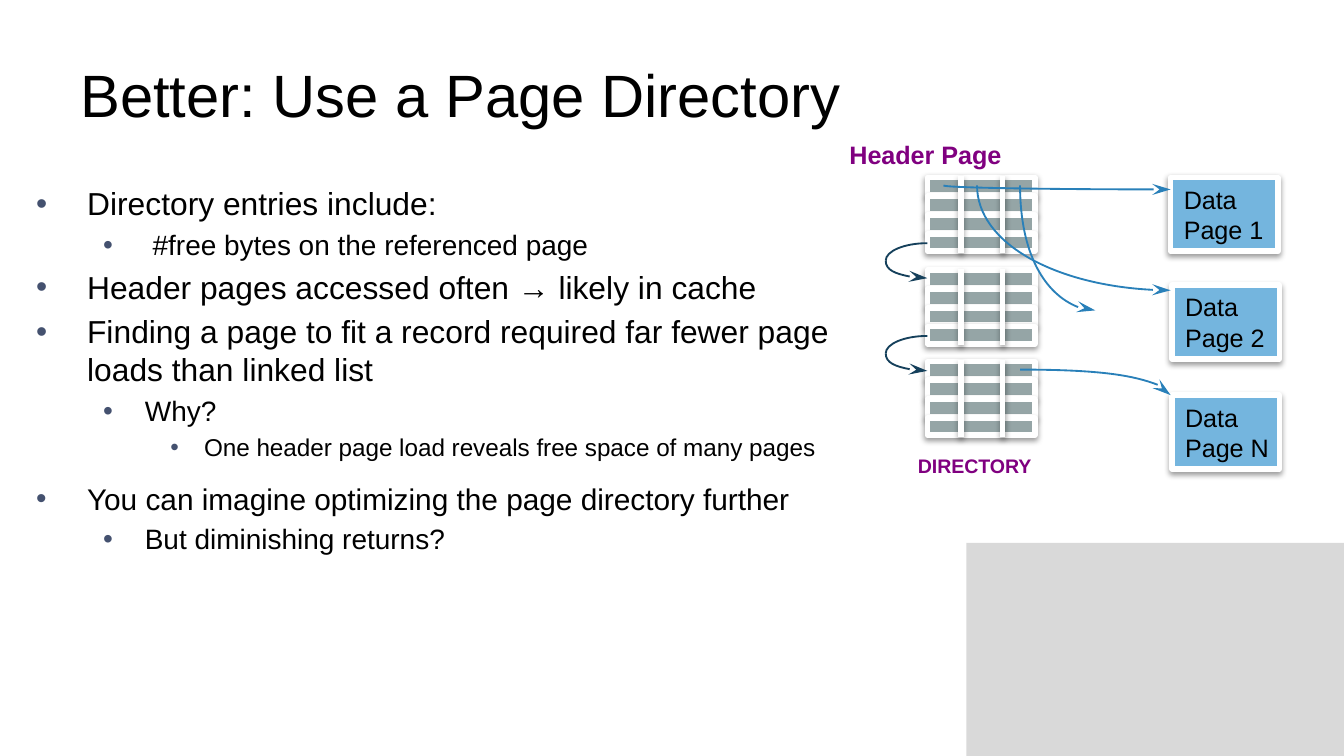
import pptx
import pptx.dml.color
import pptx.enum.shapes
import pptx.enum.text
import pptx.oxml
import pptx.oxml.ns
import pptx.util
from lxml import etree

Inches, Pt = pptx.util.Inches, pptx.util.Pt
RGBColor = pptx.dml.color.RGBColor
RECTANGLE = pptx.enum.shapes.MSO_SHAPE.RECTANGLE
STRAIGHT = pptx.enum.shapes.MSO_CONNECTOR.STRAIGHT
MIDDLE = pptx.enum.text.MSO_ANCHOR.MIDDLE
TOP = pptx.enum.text.MSO_ANCHOR.TOP
qn = pptx.oxml.ns.qn

FONT = "Arial"
BLACK = RGBColor(0x00, 0x00, 0x00)
WHITE = RGBColor(0xFF, 0xFF, 0xFF)
PANEL_GREY = RGBColor(0xD9, 0xD9, 0xD9)
BULLET_BLUE = RGBColor(0x44, 0x51, 0x6F)
ENTRY_GREY = RGBColor(0x95, 0xA5, 0xA6)
PAGE_BLUE = RGBColor(0x74, 0xB5, 0xDE)
PURPLE = RGBColor(0x80, 0x00, 0x80)
NAVY = RGBColor(0x15, 0x40, 0x5B)
ARROW_BLUE = RGBColor(0x29, 0x80, 0xB9)

TITLE = "Better: Use a Page Directory"
# (level, size, text)
POINTS = [
    (0, 17, "Directory entries include:"),
    (1, 15, " #free bytes on the referenced page"),
    (0, 17, "Header pages accessed often → likely in cache"),
    (0, 17, "Finding a page to fit a record required far fewer page loads than linked list"),
    (1, 15, "Why?"),
    (2, 13, "One header page load reveals free space of many pages"),
    (0, 16, "You can imagine optimizing the page directory further"),
    (1, 15, "But diminishing returns?"),
]
CLOSING_POINT = 6  # set apart from the points above it
INDENTS = [(0.38, 0.38), (0.81, 0.31), (1.25, 0.25)]  # left margin, hanging

HEADER_LEFT, BOX_WIDTH = 6.9, 0.8
HEADER_TOPS = [1.32, 2.01, 2.69]
ROWS, ROW_PITCH, ROW_HEIGHT = 4, 0.14, 0.13
DIVIDERS = [7.15, 7.46]
DATA_HEIGHT = 0.55
DATA_PAGES = [("Page 1", 8.71, 1.32), ("Page 2", 8.72, 2.12), ("Page N", 8.72, 2.94)]

LOOP_LEFT, LOOP_HALF = 6.59, 0.13
LOOP_MIDDLES = [1.94, 2.63]
# (start, end, leaves horizontally)
POINTERS = [
    ((7.02, 1.38), (8.71, 1.41), False),
    ((7.27, 1.38), (8.71, 2.16), False),
    ((7.59, 1.38), (8.15, 2.31), False),
    ((7.59, 2.75), (8.71, 2.94), True),
]
ARC = 0.55  # Bezier handle length of a quarter ellipse

presentation = pptx.Presentation()
presentation.slide_width = Inches(10)
presentation.slide_height = presentation.slide_width * 9 // 16
slide = presentation.slides.add_slide(presentation.slide_layouts[6])
shapes = slide.shapes


def style_font(paragraph, size, color=BLACK, bold=False):
    font = paragraph.font
    font.name, font.size, font.bold = FONT, Pt(size), bold
    font.color.rgb = color


def add_text(box, text, size, color=BLACK, bold=False, anchor=TOP, wrap=True, margins=(0.1, 0.05)):
    label = shapes.add_textbox(*map(Inches, box))
    frame = label.text_frame
    frame.word_wrap, frame.vertical_anchor = wrap, anchor
    frame.margin_left = frame.margin_right = Inches(margins[0])
    frame.margin_top = frame.margin_bottom = Inches(margins[1])
    frame.text = text
    style_font(frame.paragraphs[0], size, color, bold)


def add_bullet(paragraph, level):
    left, hanging = INDENTS[level]
    properties = paragraph._p.get_or_add_pPr()
    properties.set("marL", str(Inches(left)))
    properties.set("indent", str(-Inches(hanging)))
    color = etree.SubElement(properties, qn("a:buClr"))
    etree.SubElement(color, qn("a:srgbClr"), val=str(BULLET_BLUE))
    etree.SubElement(properties, qn("a:buFont"), typeface=FONT)
    etree.SubElement(properties, qn("a:buChar"), char="•")


def add_shadow(shape):
    effects = etree.SubElement(shape._element.spPr, qn("a:effectLst"))
    shadow = etree.SubElement(effects, qn("a:outerShdw"), blurRad=str(Pt(3.1)),
                              dist=str(Pt(1.6)), dir="5400000", rotWithShape="0")
    color = etree.SubElement(shadow, qn("a:srgbClr"), val=str(BLACK))
    etree.SubElement(color, qn("a:alpha"), val="38000")


def outline_white(shape):
    shape.line.color.rgb, shape.line.width = WHITE, Pt(3)
    add_shadow(shape)


def add_framed_box(left, top, height, color):
    box = shapes.add_shape(RECTANGLE, *map(Inches, (left, top, BOX_WIDTH, height)))
    box.fill.solid()
    box.fill.fore_color.rgb = color
    outline_white(box)
    return box


def add_arc(start, end, horizontal_first, color, arrow=True):
    """Draw a quarter ellipse from start to end as one Bezier segment."""
    (x1, y1), (x2, y2) = start, end
    dx, dy = ARC * (x2 - x1), ARC * (y2 - y1)
    if horizontal_first:
        handles = [(x1 + dx, y1), (x2, y2 - dy)]
    else:
        handles = [(x1, y1 + dy), (x2 - dx, y2)]
    builder = shapes.build_freeform(Inches(x1), Inches(y1))
    builder.add_line_segments([(Inches(x), Inches(y)) for x, y in handles + [end]], close=False)
    arc = builder.convert_to_shape()
    segments = list(arc._element.iter(qn("a:lnTo")))
    curve = etree.SubElement(segments[0].getparent(), qn("a:cubicBezTo"))
    for segment in segments:
        curve.append(segment[0])
        segment.getparent().remove(segment)
    arc.fill.background()
    arc.line.color.rgb, arc.line.width = color, Pt(1)
    arc.shadow.inherit = False
    if arrow:
        etree.SubElement(arc.line._get_or_add_ln(), qn("a:tailEnd"), type="stealth", w="med", len="lg")


panel = shapes.add_shape(RECTANGLE, *map(Inches, (7.19, 4.04, 2.81, 1.59)))
panel.fill.solid()
panel.fill.fore_color.rgb = PANEL_GREY
panel.line.fill.background()
panel.shadow.inherit = False

add_text((0.5, 0.23, 9, 0.94), TITLE, 32, anchor=MIDDLE)

body = shapes.add_textbox(*map(Inches, (0.17, 1.32, 6.33, 3.71))).text_frame
body.word_wrap = True
for number, (level, size, text) in enumerate(POINTS):
    point = body.add_paragraph() if number else body.paragraphs[0]
    point.text, point.level = text, level
    if number:
        point.space_before = Pt(10 if number == CLOSING_POINT else 0.2 * size)
    add_bullet(point, level)
    style_font(point, size)

for top in HEADER_TOPS:
    for row in range(ROWS):
        add_framed_box(HEADER_LEFT, top + row * ROW_PITCH, ROW_HEIGHT, ENTRY_GREY)
    for x in DIVIDERS:
        divider = shapes.add_connector(STRAIGHT, *map(Inches, (x, top - 0.01, x, top + 0.56)))
        outline_white(divider)

for name, left, top in DATA_PAGES:
    data_page = add_framed_box(left, top, DATA_HEIGHT, PAGE_BLUE).text_frame
    data_page.word_wrap, data_page.vertical_anchor = False, MIDDLE
    data_page.text = "Data\n" + name
    for line in data_page.paragraphs:
        line.alignment = pptx.enum.text.PP_ALIGN.LEFT
        style_font(line, 13.5)

add_text((6.24, 1, 1.32, 0.3), "Header Page", 13.5, PURPLE, True, margins=(0.08, 0.04))
add_text((6.75, 3.34, 1.02, 0.25), "DIRECTORY", 10.5, PURPLE, True, wrap=False, margins=(0.08, 0.04))

for middle in LOOP_MIDDLES:
    turn = (LOOP_LEFT, middle)
    add_arc((HEADER_LEFT, middle - LOOP_HALF), turn, True, NAVY, arrow=False)
    add_arc(turn, (HEADER_LEFT, middle + LOOP_HALF), False, NAVY)
for start, end, horizontal_first in POINTERS:
    add_arc(start, end, horizontal_first, ARROW_BLUE)

presentation.save("out.pptx")
